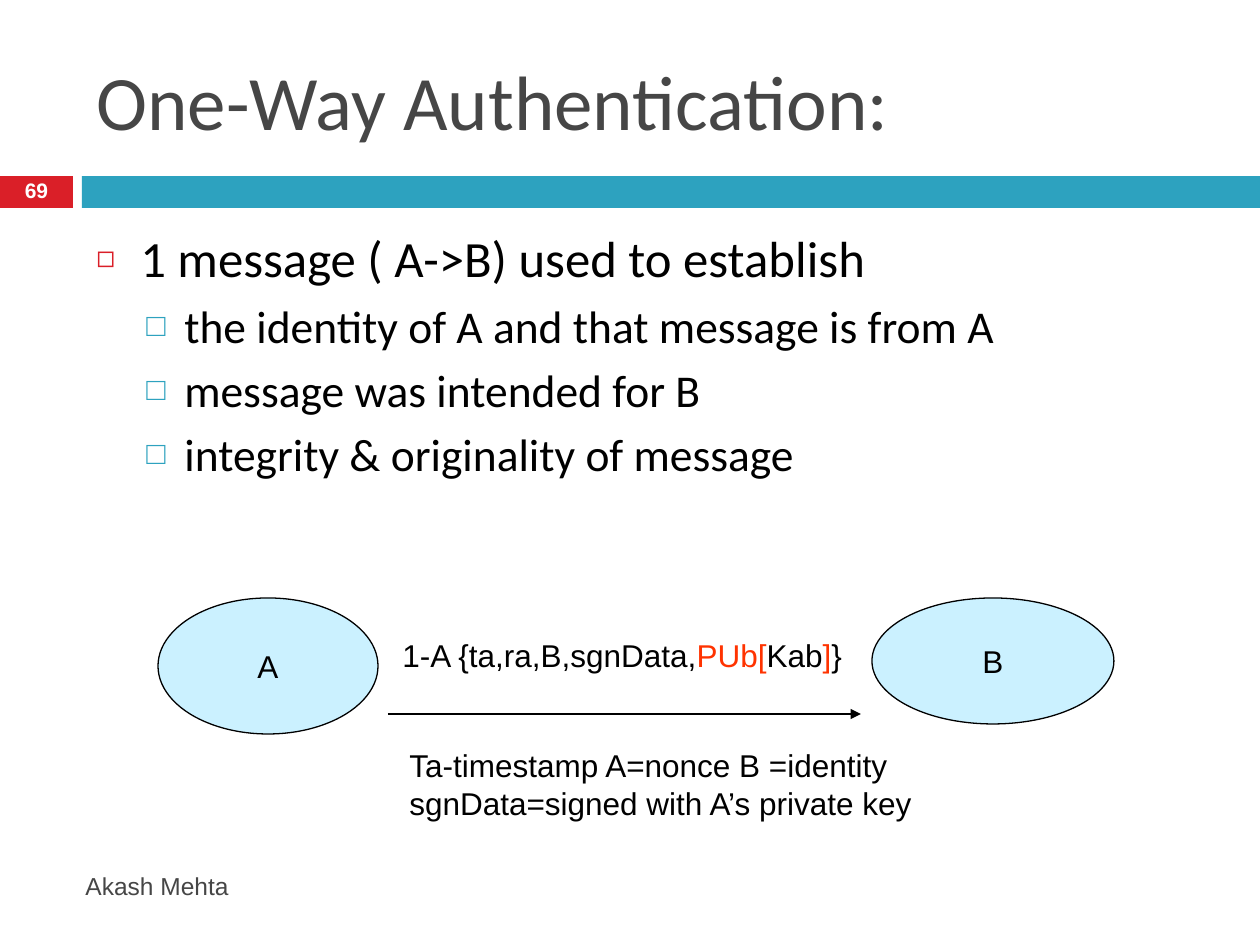
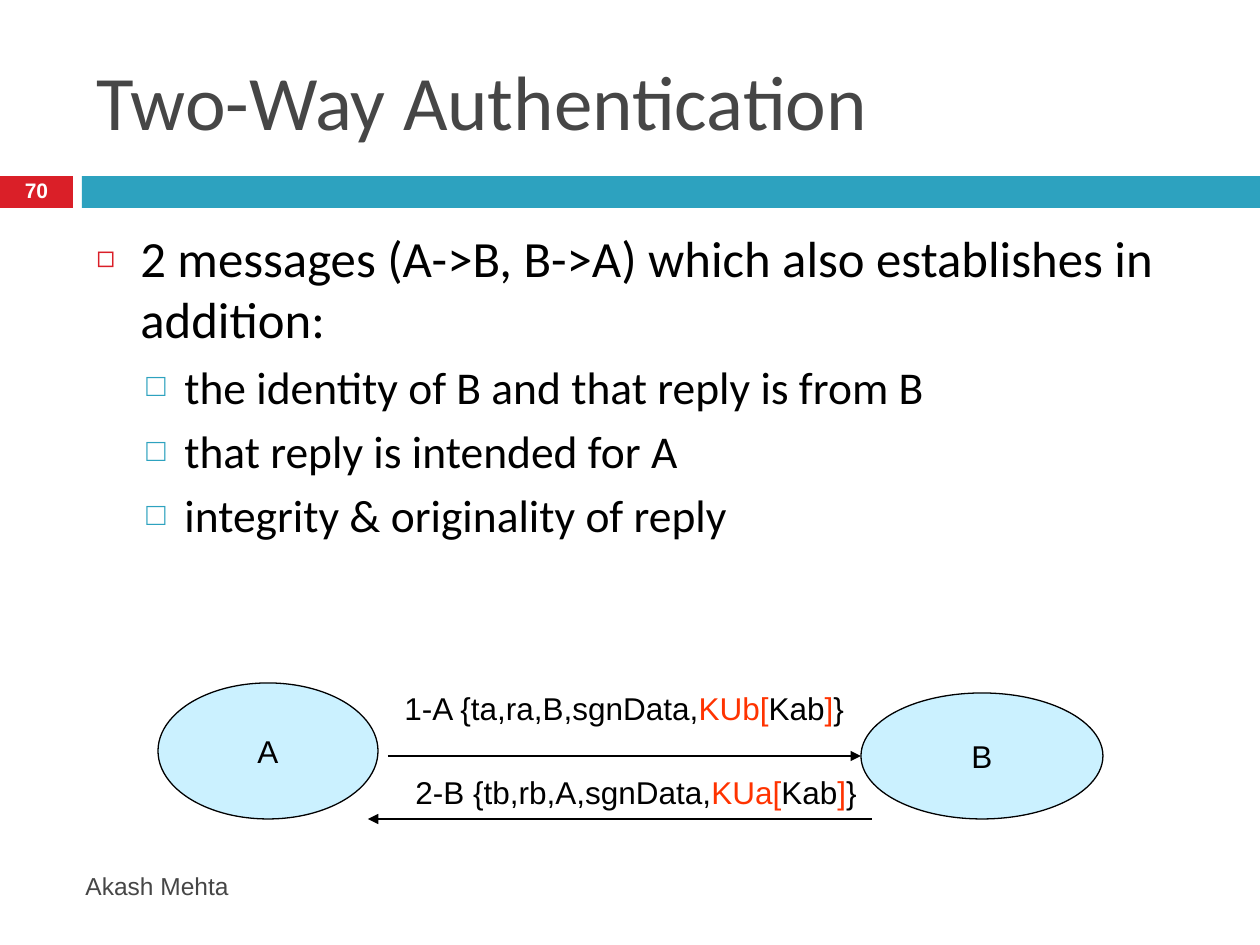
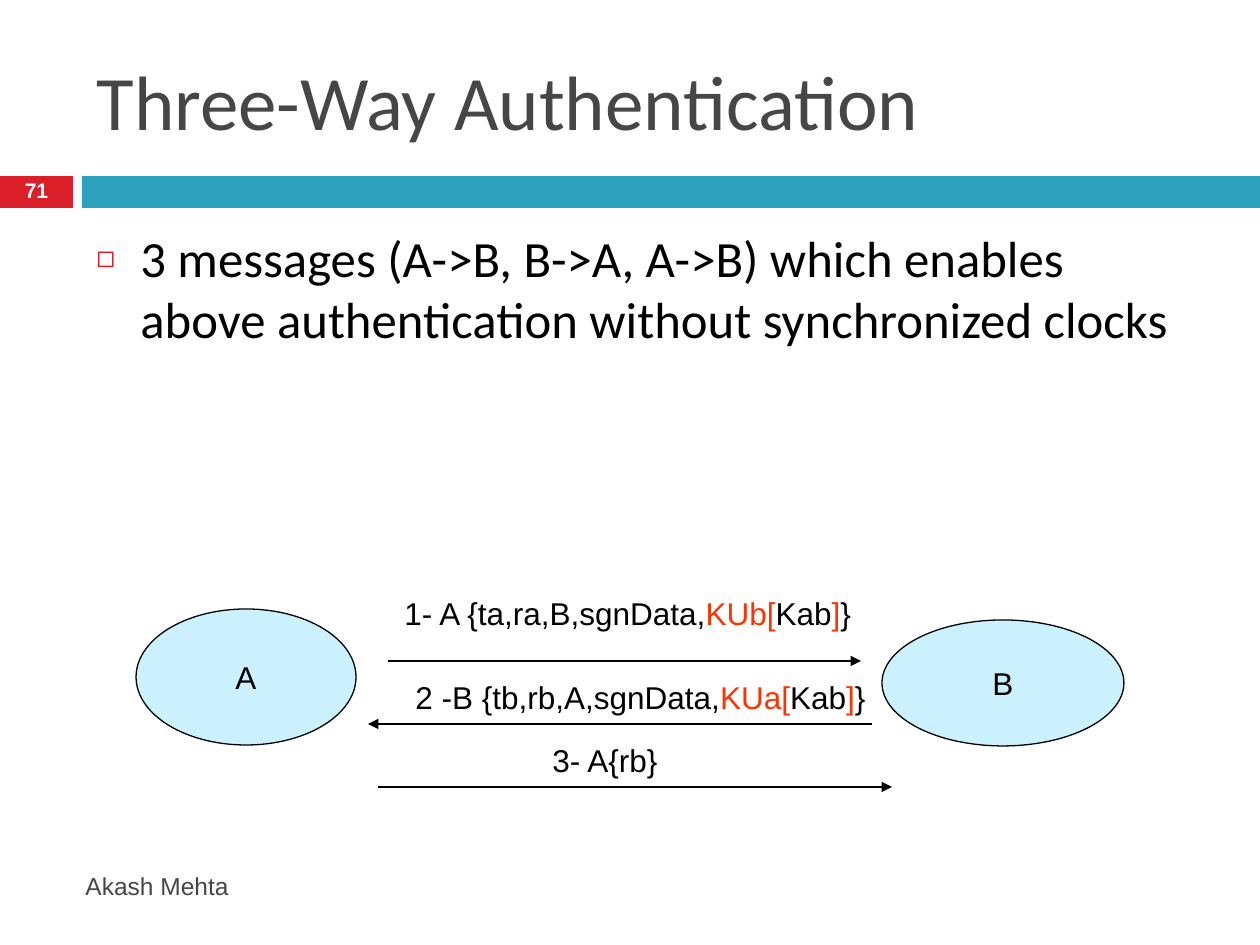
import pptx
import pptx.util
import pptx.dml.color
import pptx.enum.shapes
import pptx.enum.text
import pptx.oxml.ns
from lxml import etree

UNIT = 914400 / 126
INK = {
    "black": "000000",
    "grey": "464646",
    "white": "FFFFFF",
    "red": "DA1F28",
    "teal": "2DA2BF",
    "pale": "CBF1FF",
    "key": "FF3300",
}
ALIGN = pptx.enum.text.PP_ALIGN
MIDDLE = pptx.enum.text.MSO_ANCHOR.MIDDLE
FIT = pptx.enum.text.MSO_AUTO_SIZE
SHAPE = pptx.enum.shapes.MSO_SHAPE
LEVELS = [
    dict(size=29, bullet="◻", tint="red", scale=60, left=44, hang=44, gap=7),
    dict(size=26, bullet="□", tint="teal", scale=70, left=88, hang=38, gap=5.5),
]


def px(*nums):
    return [pptx.util.Emu(round(n * UNIT)) for n in nums]


def rgb(name):
    return pptx.dml.color.RGBColor.from_string(INK[name])


def child(node, tag, **attrs):
    return etree.SubElement(node, pptx.oxml.ns.qn(tag), attrs)


def add_run(para, words, size, font, color, bold=False):
    run = para.add_run()
    run.text = words
    run.font.size = pptx.util.Pt(size)
    run.font.name = font
    run.font.bold = bold
    run.font.color.rgb = rgb(color)


def write(frame, text, size=18, font="Arial", color="black", bold=False,
          align=ALIGN.LEFT, anchor=None, wrap=True, fit=FIT.NONE, spacing=None):
    frame.word_wrap = wrap
    frame.auto_size = fit
    if anchor is not None:
        frame.vertical_anchor = anchor
    lines = [text] if isinstance(text, str) else text
    for i, line in enumerate(lines):
        para = frame.add_paragraph() if i else frame.paragraphs[0]
        para.alignment = align
        if spacing:
            para.line_spacing = spacing
        parts = [(line, color)] if isinstance(line, str) else line
        for words, tint in parts:
            add_run(para, words, size, font, tint, bold)


def add_text(slide, box, text, **look):
    write(slide.shapes.add_textbox(*px(*box)).text_frame, text, **look)


def add_label(slide, box, text):
    add_text(slide, box, text, wrap=False, fit=FIT.SHAPE_TO_FIT_TEXT)


def add_shape(slide, kind, box, fill, line=None):
    shape = slide.shapes.add_shape(kind, *px(*box))
    shape.shadow.inherit = False
    shape.fill.solid()
    shape.fill.fore_color.rgb = rgb(fill)
    if line:
        shape.line.color.rgb = rgb(line)
        shape.line.width = pptx.util.Pt(0.75)
    else:
        shape.line.fill.background()
    return shape


def add_node(slide, name, x, y, w, h):
    node = add_shape(slide, SHAPE.OVAL, (x, y, w, h), "pale", "black")
    write(node.text_frame, name, align=ALIGN.CENTER, anchor=MIDDLE, wrap=False)


def add_pair(slide, a, b):
    add_node(slide, "A", *a, 220, 136)
    add_node(slide, "B", *b, 242, 126)


def add_arrow(slide, start, end, y):
    kind = pptx.enum.shapes.MSO_CONNECTOR.STRAIGHT
    arrow = slide.shapes.add_connector(kind, *px(start, y, end, y))
    arrow.line.color.rgb = rgb("black")
    arrow.line.width = pptx.util.Pt(0.75)
    child(arrow.line._get_or_add_ln(), "a:tailEnd", type="triangle")
    child(arrow.element.spPr, "a:effectLst")


def add_points(slide, points):
    frame = slide.shapes.add_textbox(*px(84, 221, 1124, 620)).text_frame
    frame.word_wrap = True
    for i, (depth, text) in enumerate(points):
        rule = LEVELS[depth]
        para = frame.add_paragraph() if i else frame.paragraphs[0]
        para.level = depth
        if i:
            para.space_before = pptx.util.Pt(rule["gap"])
        left, hang = px(rule["left"], rule["hang"])
        props = para._p.get_or_add_pPr()
        props.set("marL", str(left))
        props.set("indent", str(-hang))
        child(child(props, "a:buClr"), "a:srgbClr", val=INK[rule["tint"]])
        child(props, "a:buSzPct", val=str(rule["scale"] * 1000))
        child(props, "a:buFont", typeface="Arial")
        child(props, "a:buChar", char=rule["bullet"])
        add_run(para, text, rule["size"], "Calibri", "black")


def sealed(head, key):
    return [[(head, "black"), (key, "key"), ("Kab", "black"),
             ("]", "key"), ("}", "black")]]


def add_bands(slide, layout):
    for box, fill in [((0, 176, 73, 32), "red"), ((82, 176, 1178, 32), "teal")]:
        band = add_shape(slide, SHAPE.RECTANGLE, box, fill)
        layout.shapes.element.append(band.element)


def add_slide(deck, number, title, points):
    slide = deck.slides.add_slide(deck.slide_layouts[5])
    add_points(slide, points)
    head = slide.shapes.title
    head.left, head.top, head.width, head.height = px(84, 32, 1124, 136)
    write(head.text_frame, title, size=44, font="Calibri", color="grey",
          anchor=MIDDLE)
    add_text(slide, (73, 861, 747, 50), "Akash Mehta", size=14, color="grey",
             anchor=MIDDLE)
    add_text(slide, (0, 175, 73, 34), str(number), size=12, color="white",
             bold=True, align=ALIGN.CENTER, anchor=MIDDLE, spacing=0.8)
    return slide


def one_way(deck):
    slide = add_slide(deck, 69, "One-Way Authentication:", [
        (0, "1 message ( A->B) used to establish"),
        (1, "the identity of A and that message is from A"),
        (1, "message was intended for B"),
        (1, "integrity & originality of message"),
    ])
    add_bands(slide, slide.slide_layout)
    add_pair(slide, (158, 598), (872, 598))
    add_arrow(slide, 388, 861, 714)
    add_label(slide, (390, 630, 474, 50), sealed("1-A {ta,ra,B,sgnData,", "PUb["))
    add_label(slide, (397, 740, 540, 88), [
        "Ta-timestamp A=nonce B =identity",
        "sgnData=signed with A’s private key",
    ])


def add_trade(slide, top, width, ask, reply):
    add_arrow(slide, 388, 861, top + 73)
    add_label(slide, (392, top, width, 50), sealed(ask, "KUb["))
    add_arrow(slide, 872, 368, top + 136)
    add_label(slide, (403, top + 84, width, 50), sealed(reply, "KUa["))


def two_way(deck):
    slide = add_slide(deck, 70, "Two-Way Authentication", [
        (0, "2 messages (A->B, B->A) which also establishes in addition:"),
        (1, "the identity of B and that reply is from B"),
        (1, "that reply is intended for A"),
        (1, "integrity & originality of reply"),
    ])
    add_pair(slide, (158, 683), (861, 693))
    add_trade(slide, 683, 474, "1-A {ta,ra,B,sgnData,", "2-B {tb,rb,A,sgnData,")


def three_way(deck):
    slide = add_slide(deck, 71, "Three-Way Authentication", [
        (0, "3 messages (A->B, B->A, A->B) which enables above "
            "authentication without synchronized clocks"),
    ])
    add_pair(slide, (136, 609), (882, 620))
    add_trade(slide, 588, 483, "1- A {ta,ra,B,sgnData,", "2 -B {tb,rb,A,sgnData,")
    add_arrow(slide, 378, 892, 787)
    add_label(slide, (540, 735, 140, 50), "3- A{rb}")


def main():
    deck = pptx.Presentation()
    deck.slide_width, deck.slide_height = px(1260, 945)
    one_way(deck)
    two_way(deck)
    three_way(deck)
    deck.save("out.pptx")


if __name__ == "__main__":
    main()
